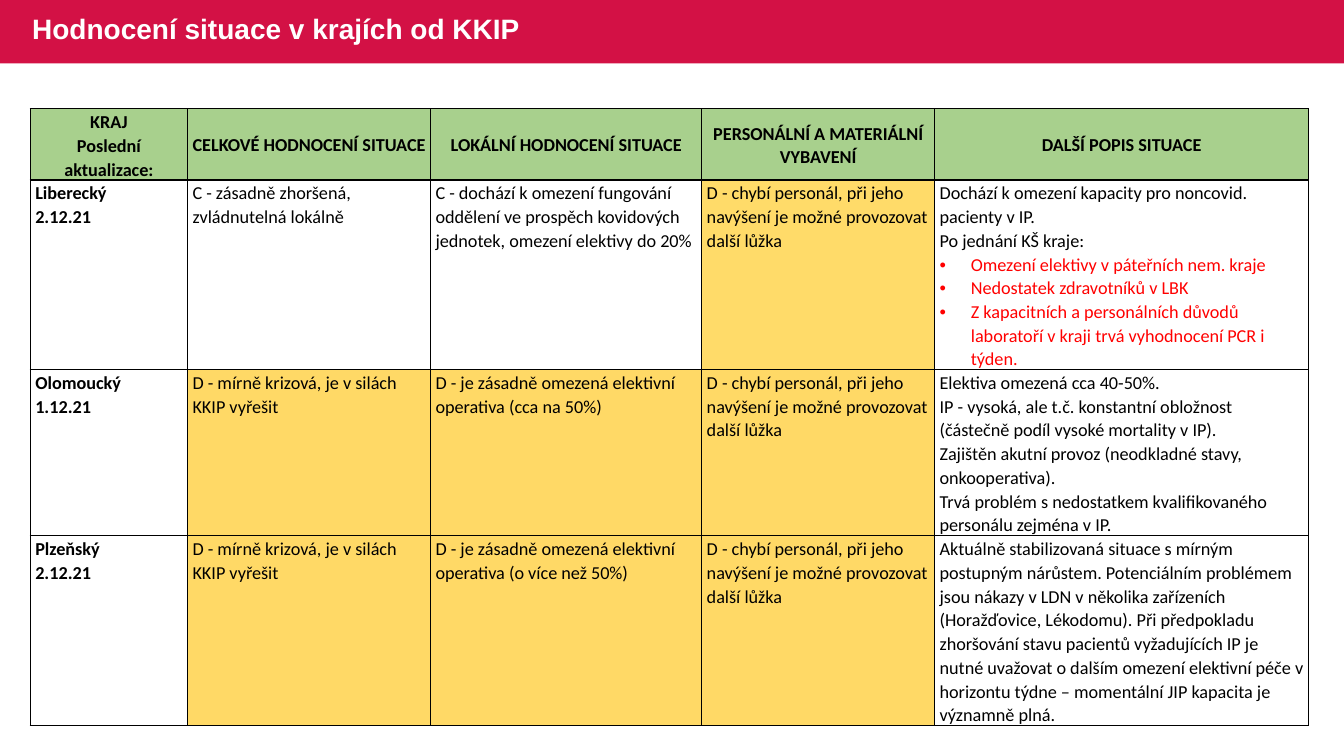
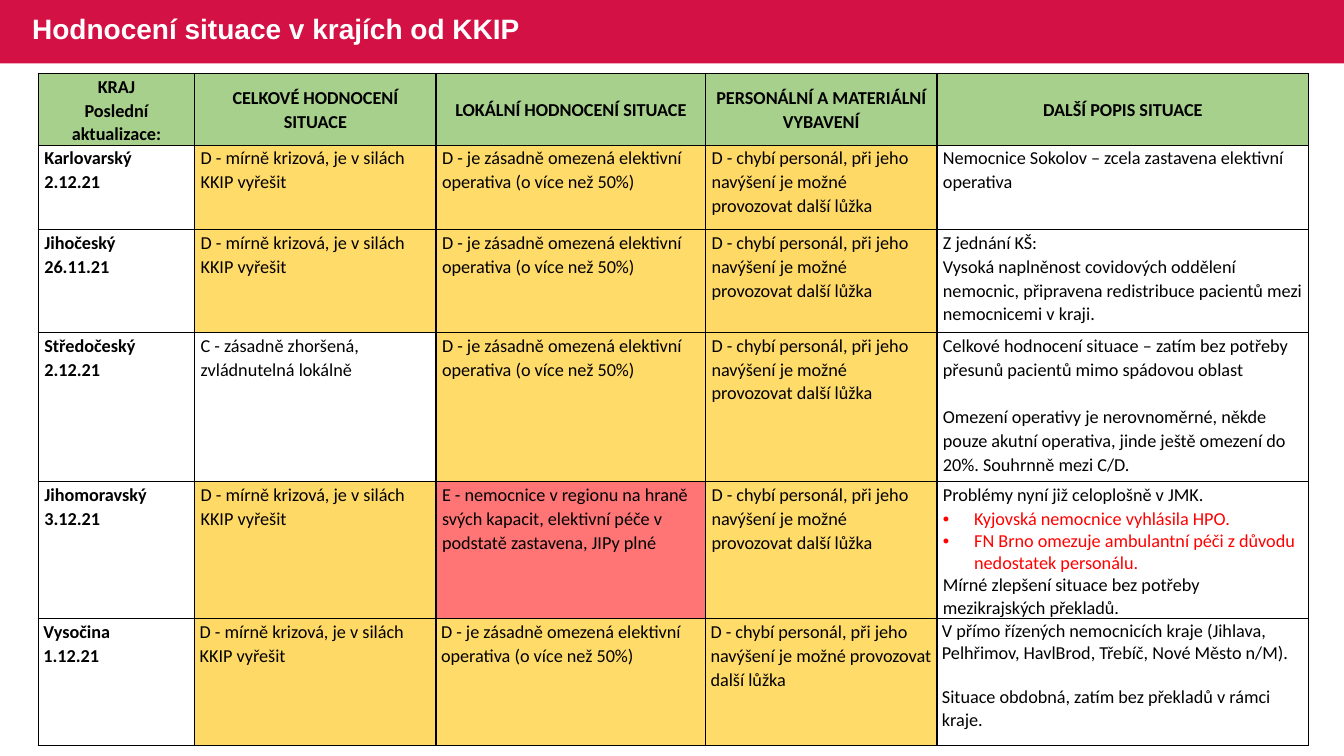
from dataclasses import dataclass

from lxml.etree import SubElement
from pptx import Presentation
from pptx.dml.color import RGBColor
from pptx.enum.shapes import MSO_SHAPE as Preset
from pptx.enum.text import MSO_ANCHOR as Anchor, PP_ALIGN as Align
from pptx.oxml.ns import qn
from pptx.util import Inches, Pt

SLIDE_WIDTH, SLIDE_HEIGHT = 13.33, 7.5
BAND_HEIGHT = 0.63
CRIMSON, WHITE, BLACK, RED = "D31145", "FFFFFF", "000000", "FF0000"
GREEN, GOLD, AMBER, CORAL = "A8D08D", "FFD966", "FFDB69", "FF7575"

TITLE = "Hodnocení situace v krajích od KKIP"
COLUMN_WEIGHTS = (1.56, 2.41, 2.69, 2.31, 3.71)
TEXT_SIZE = 13
LOOSE = 1.07
BULLET_INDENT = 0.31
EMPTY_LINE = 17


@dataclass(frozen=True)
class Line:
    text: str
    bullet: bool = False
    spacing: float = LOOSE
    before: float = 0


@dataclass(frozen=True)
class Rating:
    text: str
    fill: str = WHITE


@dataclass(frozen=True)
class Region:
    name: str
    updated: str
    height: float
    ratings: tuple[Rating, Rating, Rating]
    notes: tuple[Line, ...]
    inset: float


@dataclass(frozen=True)
class Report:
    left: float
    top: float
    width: float
    header_height: float
    inset: float
    regions: tuple[Region, ...]


HEADERS = (
    (Line("KRAJ"), Line("Poslední aktualizace:")),
    (Line("CELKOVÉ HODNOCENÍ SITUACE"),),
    (Line("LOKÁLNÍ HODNOCENÍ SITUACE"),),
    (Line("PERSONÁLNÍ A MATERIÁLNÍ VYBAVENÍ"),),
    (Line("DALŠÍ POPIS SITUACE"),),
)

OVERALL_C = "C - zásadně zhoršená, zvládnutelná lokálně"
OVERALL_D = "D - mírně krizová, je v silách KKIP vyřešit"
LOCAL_C = ("C - dochází k omezení fungování oddělení ve prospěch kovidových "
           "jednotek, omezení elektivy do 20%")
LOCAL_D_HALF = "D - je zásadně omezená elektivní operativa (cca na 50%)"
LOCAL_D_MORE = "D - je zásadně omezená elektivní operativa (o více než 50%)"
LOCAL_E = ("E - nemocnice v regionu na hraně svých kapacit, elektivní péče v "
           "podstatě zastavena, JIPy plné")
STAFF_D = "D - chybí personál, při jeho navýšení je možné provozovat další lůžka"

REPORTS = (
    Report(0.3, 1.08, 12.68, 0.7, 0.05, (
        Region("Liberecký", "2.12.21", 1.88,
               (Rating(OVERALL_C), Rating(LOCAL_C), Rating(STAFF_D, AMBER)),
               (Line("Dochází k omezení kapacity pro noncovid. pacienty v IP."),
                Line("Po jednání KŠ kraje:"),
                Line("Omezení elektivy v páteřních nem. kraje", bullet=True),
                Line("Nedostatek zdravotníků v LBK", bullet=True),
                Line("Z kapacitních a personálních důvodů laboratoří v kraji trvá "
                     "vyhodnocení PCR i týden.", bullet=True)), 0.05),
        Region("Olomoucký", "1.12.21", 1.65,
               (Rating(OVERALL_D, GOLD), Rating(LOCAL_D_HALF, GOLD), Rating(STAFF_D, GOLD)),
               (Line("Elektiva omezená cca 40-50%."),
                Line("IP - vysoká, ale t.č. konstantní obložnost (částečně podíl "
                     "vysoké mortality v IP)."),
                Line("Zajištěn akutní provoz (neodkladné stavy, onkooperativa)."),
                Line("Trvá problém s nedostatkem kvalifikovaného personálu zejména "
                     "v IP.")), 0.05),
        Region("Plzeňský", "2.12.21", 1.88,
               (Rating(OVERALL_D, GOLD), Rating(LOCAL_D_MORE, GOLD), Rating(STAFF_D, GOLD)),
               (Line("Aktuálně stabilizovaná situace s mírným postupným nárůstem. "
                     "Potenciálním problémem jsou nákazy v LDN v několika zařízeních "
                     "(Horažďovice, Lékodomu). Při předpokladu zhoršování stavu pacientů "
                     "vyžadujících IP je nutné uvažovat o dalším omezení elektivní péče "
                     "v horizontu týdne – momentální JIP kapacita je významně plná."),),
               0.05),
    )),
    Report(0.38, 0.73, 12.6, 0.71, 0.06, (
        Region("Karlovarský", "2.12.21", 0.84,
               (Rating(OVERALL_D, AMBER), Rating(LOCAL_D_MORE, AMBER), Rating(STAFF_D, GOLD)),
               (Line("Nemocnice Sokolov – zcela zastavena elektivní operativa"),), 0.06),
        Region("Jihočeský", "26.11.21", 1.02,
               (Rating(OVERALL_D, AMBER), Rating(LOCAL_D_MORE, AMBER), Rating(STAFF_D, GOLD)),
               (Line("Z jednání KŠ:"),
                Line("Vysoká naplněnost covidových oddělení nemocnic, připravena "
                     "redistribuce pacientů mezi nemocnicemi v kraji.")), 0.06),
        Region("Středočeský", "2.12.21", 1.48,
               (Rating(OVERALL_C), Rating(LOCAL_D_MORE, AMBER), Rating(STAFF_D, AMBER)),
               (Line("Celkové hodnocení situace – zatím bez potřeby přesunů pacientů "
                     "mimo spádovou oblast"),
                Line("Omezení operativy je nerovnoměrné, někde pouze akutní operativa, "
                     "jinde ještě omezení do 20%. Souhrnně mezi C/D.",
                     before=EMPTY_LINE)), 0.06),
        Region("Jihomoravský", "3.12.21", 1.36,
               (Rating(OVERALL_D, GOLD), Rating(LOCAL_E, CORAL), Rating(STAFF_D, AMBER)),
               (Line("Problémy nyní již celoplošně v JMK."),
                Line("Kyjovská nemocnice vyhlásila HPO.", bullet=True),
                Line("FN Brno omezuje ambulantní péči z důvodu nedostatek personálu.",
                     bullet=True, spacing=1),
                Line("Mírné zlepšení situace bez potřeby mezikrajských překladů.",
                     spacing=1)), 0.06),
        Region("Vysočina", "1.12.21", 1.26,
               (Rating(OVERALL_D, GOLD), Rating(LOCAL_D_MORE, AMBER), Rating(STAFF_D, AMBER)),
               (Line("V přímo řízených nemocnicích kraje (Jihlava, Pelhřimov, HavlBrod, "
                     "Třebíč, Nové Město n/M).", spacing=1),
                Line("Situace obdobná, zatím bez překladů v rámci kraje.",
                     spacing=1, before=EMPTY_LINE - 1)), 0.05),
    )),
)


def colour(value: str) -> RGBColor:
    return RGBColor.from_string(value)


def add_run(paragraph, text: str, font: str, size: float, value: str, bold: bool) -> None:
    run = paragraph.add_run()
    run.text = text
    run.font.name, run.font.size, run.font.bold = font, Pt(size), bold
    run.font.color.rgb = colour(value)


def add_title(slide) -> None:
    band = slide.shapes.add_shape(
        Preset.RECTANGLE, 0, 0, Inches(SLIDE_WIDTH), Inches(BAND_HEIGHT))
    band.shadow.inherit = False
    band.fill.solid()
    band.fill.fore_color.rgb = colour(CRIMSON)
    band.line.fill.background()

    title = slide.shapes.add_textbox(
        Inches(0.22), Inches(-0.01), Inches(8.14), Inches(BAND_HEIGHT))
    frame = title.text_frame
    frame.word_wrap = True
    frame.vertical_anchor = Anchor.MIDDLE
    paragraph = frame.paragraphs[0]
    paragraph.line_spacing = 0.9
    add_run(paragraph, TITLE, "Arial", 20, WHITE, True)


def add_bullet(paragraph) -> None:
    properties = paragraph._p.get_or_add_pPr()
    properties.set("marL", str(Inches(BULLET_INDENT)))
    properties.set("indent", str(-Inches(BULLET_INDENT)))
    SubElement(properties, qn("a:buFont"), typeface="Arial")
    SubElement(properties, qn("a:buChar"), char="•")


def add_borders(cell) -> None:
    properties = cell._tc.get_or_add_tcPr()
    for side in ("lnL", "lnR", "lnT", "lnB"):
        border = SubElement(properties, qn(f"a:{side}"), w=str(Pt(1)))
        fill = SubElement(border, qn("a:solidFill"))
        SubElement(fill, qn("a:srgbClr"), val=BLACK)


def fill_cell(cell, lines: tuple[Line, ...], inset: float, fill: str = WHITE,
              bold: bool = False, header: bool = False) -> None:
    add_borders(cell)
    cell.fill.solid()
    cell.fill.fore_color.rgb = colour(fill)
    cell.margin_left = cell.margin_right = Inches(inset)
    cell.margin_top, cell.margin_bottom = Inches(0.01), 0
    cell.vertical_anchor = Anchor.MIDDLE if header else Anchor.TOP
    frame = cell.text_frame
    for index, line in enumerate(lines):
        paragraph = frame.add_paragraph() if index else frame.paragraphs[0]
        if line.bullet:
            add_bullet(paragraph)
        paragraph.alignment = Align.CENTER if header else Align.LEFT
        paragraph.line_spacing = line.spacing
        if line.before:
            paragraph.space_before = Pt(line.before)
        add_run(paragraph, line.text, "Calibri", TEXT_SIZE,
                RED if line.bullet else BLACK, bold)


def add_report(slide, report: Report) -> None:
    heights = [report.header_height, *(region.height for region in report.regions)]
    table = slide.shapes.add_table(
        len(heights), len(COLUMN_WEIGHTS), Inches(report.left), Inches(report.top),
        Inches(report.width), Inches(sum(heights))).table
    table.first_row = table.horz_banding = False
    for column, weight in zip(table.columns, COLUMN_WEIGHTS):
        column.width = Inches(report.width * weight / sum(COLUMN_WEIGHTS))
    for row, height in zip(table.rows, heights):
        row.height = Inches(height)

    for index, header in enumerate(HEADERS):
        fill_cell(table.cell(0, index), header, report.inset, GREEN, bold=True, header=True)
    for index, region in enumerate(report.regions, start=1):
        name_cell, *rating_cells, notes_cell = table.rows[index].cells
        fill_cell(name_cell, (Line(region.name), Line(region.updated)),
                  region.inset, bold=True)
        for cell, rating in zip(rating_cells, region.ratings):
            fill_cell(cell, (Line(rating.text),), region.inset, rating.fill)
        fill_cell(notes_cell, region.notes, region.inset)


def main() -> None:
    presentation = Presentation()
    presentation.slide_width = Inches(SLIDE_WIDTH)
    presentation.slide_height = Inches(SLIDE_HEIGHT)
    for report in REPORTS:
        slide = presentation.slides.add_slide(presentation.slide_layouts[6])
        add_title(slide)
        add_report(slide, report)
    presentation.save("out.pptx")


if __name__ == "__main__":
    main()
